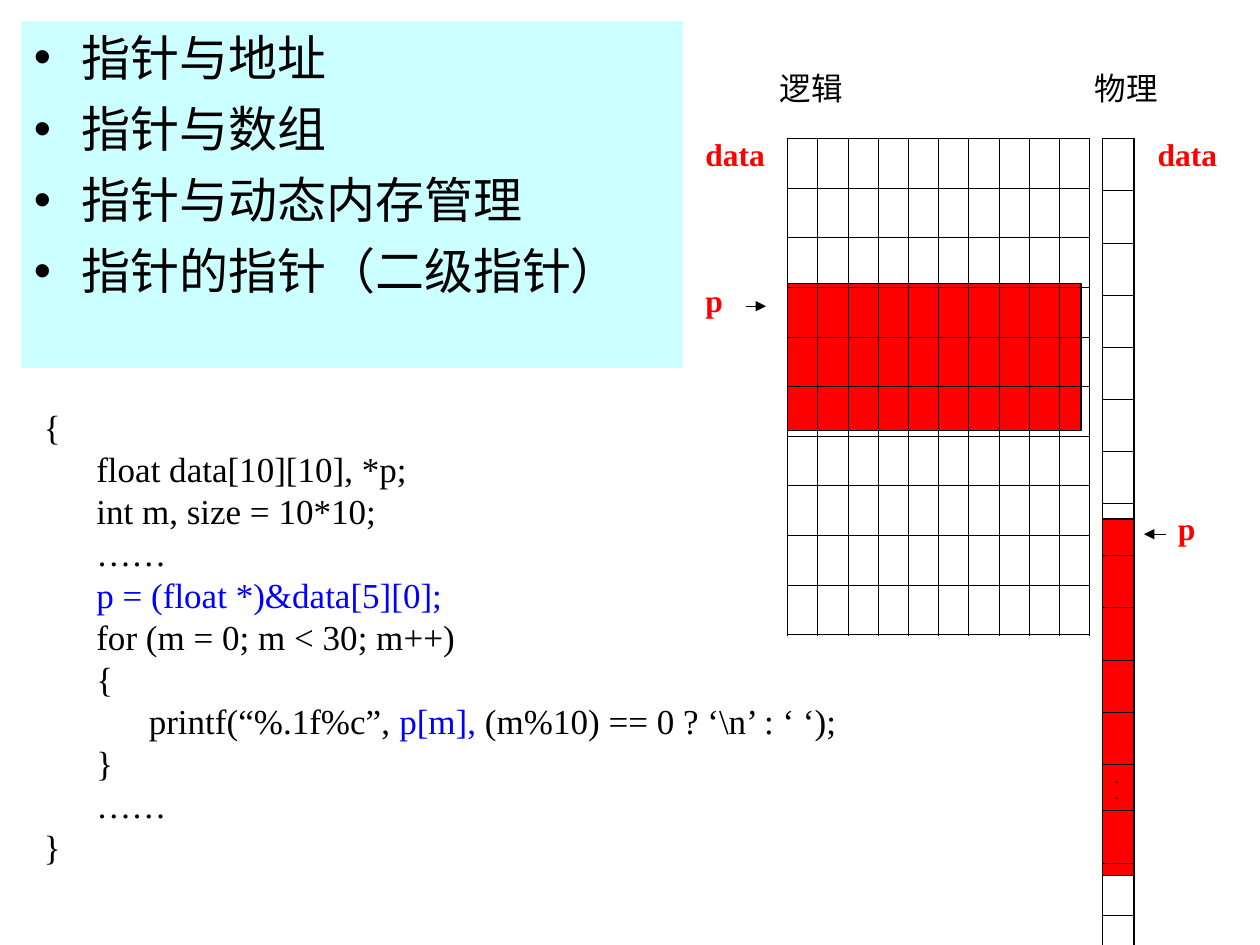
from pptx import Presentation
from pptx.dml.color import RGBColor
from pptx.enum.shapes import MSO_CONNECTOR as Connector, MSO_SHAPE as Shape
from pptx.enum.text import MSO_ANCHOR as Anchor, MSO_AUTO_SIZE as AutoSize
from pptx.oxml.ns import qn
from pptx.util import Inches, Pt
from lxml.etree import SubElement

COLORS = {"black": "000000", "red": "FF0000", "blue": "0000FF", "panel": "CCFFFF"}
SANS, SERIF = "Arial", "Times New Roman"
THICK, THIN = 1.08, 0.45


class SlideBuilder:
    def __init__(self, slide):
        self.slide = slide

    def color(self, name):
        return RGBColor.from_string(COLORS[name])

    def style(self, font, name, size, color="black", bold=False):
        font.name = name
        font.size = Pt(size)
        font.bold = bold
        font.color.rgb = self.color(color)

    def rectangle(self, left, top, width, height):
        shape = self.slide.shapes.add_shape(
            Shape.RECTANGLE, Inches(left), Inches(top), Inches(width), Inches(height))
        shape.shadow.inherit = False
        shape.fill.solid()
        shape.fill.fore_color.rgb = self.color("red")
        shape.line.color.rgb = self.color("black")
        shape.line.width = Pt(0.75)

    def text_box(self, left, top, width, height, wrap=True):
        shape = self.slide.shapes.add_textbox(
            Inches(left), Inches(top), Inches(width), Inches(height))
        shape.text_frame.word_wrap = wrap
        return shape

    def paragraphs(self, frame, count):
        return [frame.paragraphs[0]] + [frame.add_paragraph() for _ in range(count - 1)]

    def bullets(self, left, top, width, height, items):
        shape = self.text_box(left, top, width, height)
        shape.fill.solid()
        shape.fill.fore_color.rgb = self.color("panel")
        for index, (paragraph, item) in enumerate(
                zip(self.paragraphs(shape.text_frame, len(items)), items)):
            paragraph.text = item
            properties = paragraph._p.get_or_add_pPr()
            properties.set("marL", str(Inches(0.38)))
            properties.set("indent", str(-Inches(0.38)))
            bullet_color = SubElement(properties, qn("a:buClr"))
            SubElement(bullet_color, qn("a:srgbClr"), val=COLORS["black"])
            SubElement(properties, qn("a:buFont"), typeface=SANS)
            SubElement(properties, qn("a:buChar"), char="•")
            if index:
                paragraph.space_before = Pt(7)
            self.style(paragraph.font, SANS, 28)

    def code(self, left, top, width, height, lines):
        frame = self.text_box(left, top, width, height).text_frame
        frame.auto_size = AutoSize.SHAPE_TO_FIT_TEXT
        for paragraph, line in zip(self.paragraphs(frame, len(lines)), lines):
            self.style(paragraph.font, SERIF, 20)
            for text, color in line:
                run = paragraph.add_run()
                run.text = text
                if color != "black":
                    run.font.color.rgb = self.color(color)

    def label(self, left, top, width, text, font=SERIF, color="red", bold=True, wrap=False):
        frame = self.text_box(left, top, width, 0.4, wrap).text_frame
        frame.auto_size = AutoSize.SHAPE_TO_FIT_TEXT
        paragraph = frame.paragraphs[0]
        paragraph.text = text
        self.style(paragraph.font, font, 18, color, bold)

    def arrow(self, start, end, y):
        connector = self.slide.shapes.add_connector(
            Connector.STRAIGHT, Inches(start), Inches(y), Inches(end), Inches(y))
        connector.line.color.rgb = self.color("black")
        connector.line.width = Pt(0.75)
        SubElement(connector.line._get_or_add_ln(), qn("a:tailEnd"), type="triangle")
        SubElement(connector._element.spPr, qn("a:effectLst"))

    def borders(self, cell, widths):
        properties = cell._tc.get_or_add_tcPr()
        for side, width in widths.items():
            line = SubElement(properties, qn(f"a:ln{side}"), w=str(Pt(width)))
            fill = SubElement(line, qn("a:solidFill"))
            SubElement(fill, qn("a:srgbClr"), val=COLORS["black"])

    def memory_grid(self, left, top, column_widths, row_heights, empty_size, texts):
        rows, columns = len(row_heights), len(column_widths)
        table = self.slide.shapes.add_table(
            rows, columns, Inches(left), Inches(top),
            Inches(sum(column_widths)), Inches(sum(row_heights))).table
        table.first_row = table.horz_banding = False
        for column, width in zip(table.columns, column_widths):
            column.width = Inches(width)
        for row, height in zip(table.rows, row_heights):
            row.height = Inches(height)
        for row in range(rows):
            for column in range(columns):
                cell = table.cell(row, column)
                self.borders(cell, {
                    "L": THICK if column == 0 else THIN,
                    "R": THICK if column == columns - 1 else THIN,
                    "T": THICK if row == 0 else THIN,
                    "B": THICK if row == rows - 1 else THIN})
                cell.fill.background()
                cell.vertical_anchor = Anchor.TOP
                paragraph = cell.text_frame.paragraphs[0]
                if (row, column) in texts:
                    paragraph.text = texts[row, column]
                    self.style(paragraph.font, SANS, 8)
                else:
                    end = SubElement(paragraph._p, qn("a:endParaRPr"),
                                     sz=str(round(empty_size * 100)))
                    SubElement(end, qn("a:latin"), typeface=SANS)


def main():
    presentation = Presentation()
    presentation.slide_width, presentation.slide_height = Inches(10), Inches(7.5)
    builder = SlideBuilder(presentation.slides.add_slide(presentation.slide_layouts[6]))

    builder.rectangle(8.75, 4.12, 0.25, 2.83)
    builder.rectangle(6.25, 2.25, 2.33, 1.17)
    builder.bullets(0.17, 0.17, 5.25, 2.75, [
        "指针与地址", "指针与数组", "指针与动态内存管理", "指针的指针（二级指针）"])
    builder.memory_grid(6.25, 1.1, [0.24] * 10, [0.24] * 10, 17.6, {})
    builder.code(0.25, 3.17, 7.33, 3.77, [
        [("{", "black")],
        [("      float data[10][10], *p;", "black")],
        [("      int m, size = 10*10;", "black")],
        [("      ……", "black")],
        [("      ", "black"), ("p = (float *)&data[5][0];", "blue")],
        [("      for (m = 0; m < 30; m++)", "black")],
        [("      {", "black")],
        [("            printf(“%.1f%c”, ", "black"), ("p[m],", "blue"),
         (" (m%10) == 0 ? ‘\\n’ : ‘ ‘);", "black")],
        [("      }", "black")],
        [("      ……", "black")],
        [("}", "black")]])
    builder.label(5.5, 1.02, 0.67, "data")
    builder.label(5.5, 2.18, 0.33, "p", wrap=True)
    builder.arrow(5.92, 6.08, 2.43)
    builder.memory_grid(8.75, 1.1, [0.25], [0.24] * 12 + [0.37] + [0.24] * 12,
                        18.8, {(12, 0): ".."})
    builder.label(9.09, 1.02, 0.67, "data")
    builder.label(9.25, 3.99, 0.33, "p", wrap=True)
    builder.arrow(9.25, 9.08, 4.24)
    for left, heading in [(6.09, "逻辑"), (8.59, "物理")]:
        builder.label(left, 0.5, 0.7, heading, SANS, "black", False)

    presentation.save("out.pptx")


if __name__ == "__main__":
    main()
